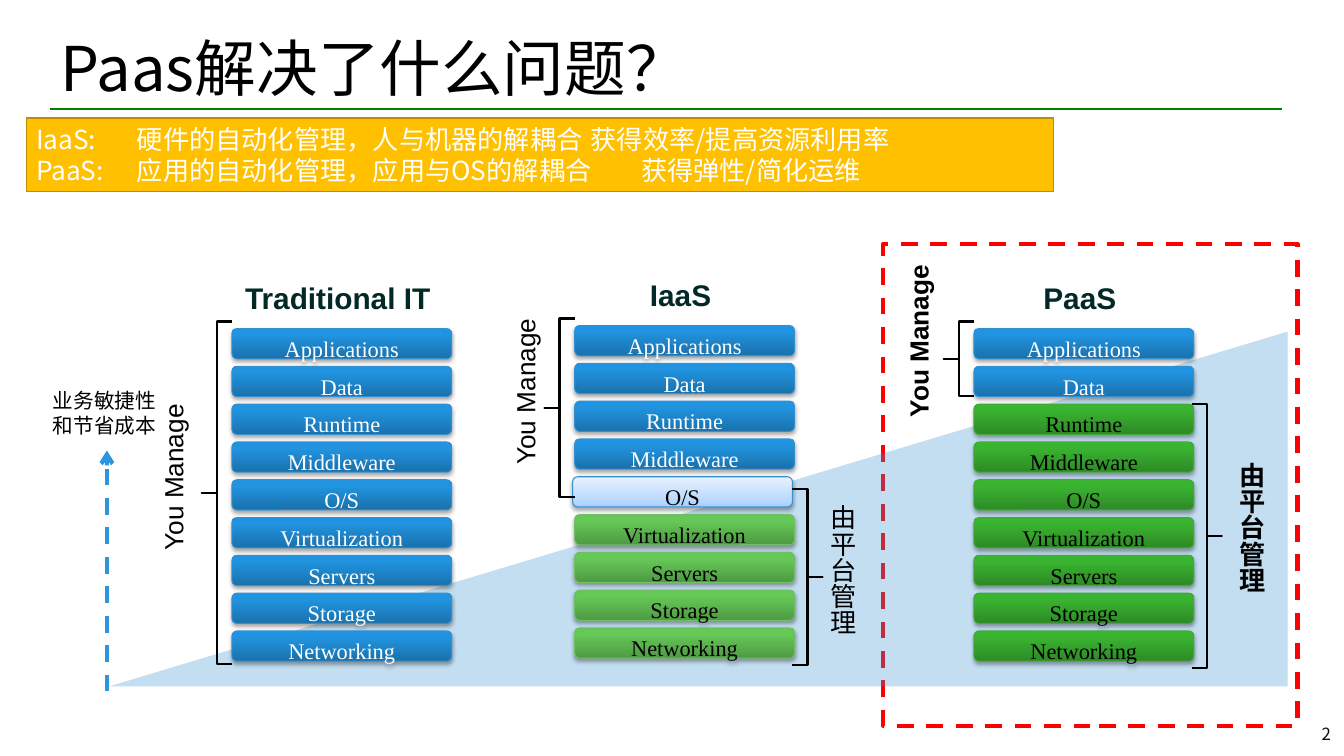
import pptx
import pptx.util
import pptx.dml.color
import pptx.enum.dml
import pptx.enum.shapes
import pptx.enum.text
import pptx.oxml
import pptx.oxml.ns
import lxml.etree

Inches, Pt = pptx.util.Inches, pptx.util.Pt
RGB = pptx.dml.color.RGBColor.from_string
qn = pptx.oxml.ns.qn
SHAPE = pptx.enum.shapes.MSO_SHAPE
ALIGN = pptx.enum.text.PP_ALIGN
ANCHOR = pptx.enum.text.MSO_ANCHOR
DASH = pptx.enum.dml.MSO_LINE.DASH
STRAIGHT = pptx.enum.shapes.MSO_CONNECTOR.STRAIGHT

COLORS = {"black": "000000", "white": "FFFFFF", "heading": "022828", "number": "0D0D0D",
          "rule": "008000", "frame": "FF0000", "wedge": "3993D0", "arrow": "2C95DD",
          "banner": "FFC000", "banner_edge": "BD8E00"}
CJK = "Noto Sans CJK SC"

# Layer styles: gradient stops from bottom to top, edge, text colour
STYLES = {
    "blue": ([(0, "1A71AC"), (80, "2193DF"), (100, "1E94E4")], "3490CF", "white"),
    "green": ([(0, "2D8A26"), (80, "3AB331"), (100, "38B62F")], "45A83E", "black"),
    "light green": ([(0, "4E9A43"), (80, "66C857"), (100, "65CB55")], "6FBF63", "black"),
    "pale": ([(0, "A9D0FF"), (35, "C2DDFF"), (100, "E8F2FF")], "3490CF", "black"),
}
LAYERS = ["Applications", "Data", "Runtime", "Middleware", "O/S",
          "Virtualization", "Servers", "Storage", "Networking"]
ROW_PITCH = 0.375

deck = pptx.Presentation()
deck.slide_width, deck.slide_height = Inches(13.33), Inches(7.5)
page = deck.slides.add_slide(deck.slide_layouts[5])


def write(para, text, size, font, color, bold=False):
    span = para.add_run()
    span.text = text
    span.font.size, span.font.name, span.font.bold = Pt(size), font, bold
    span.font.color.rgb = RGB(COLORS[color])
    east_asian = lxml.etree.SubElement(span.font._element, qn("a:ea"))
    east_asian.set("typeface", CJK)


def add_box(left, top, width, height, shape=None, fill=None, line=None, weight=1, wrap=True, vert=None):
    area = [Inches(value) for value in (left, top, width, height)]
    if shape is None:
        box = page.shapes.add_textbox(*area)
    else:
        box = page.shapes.add_shape(shape, *area)
        box.shadow.inherit = False
        if fill:
            box.fill.solid()
            box.fill.fore_color.rgb = RGB(fill)
        else:
            box.fill.background()
        if line:
            box.line.color.rgb = RGB(line)
            box.line.width = Pt(weight)
        else:
            box.line.fill.background()
    box.text_frame.word_wrap = wrap
    box.text_frame.vertical_anchor = ANCHOR.TOP
    if vert:
        box.text_frame._txBody.bodyPr.set("vert", vert)
    return box


# Title and the rule below it
title = page.shapes.title
title.left, title.top, title.width, title.height = [Inches(v) for v in (0.5, 0.25, 12.28, 0.92)]
title.text_frame.vertical_anchor = ANCHOR.MIDDLE
para = title.text_frame.paragraphs[0]
para.alignment, para.line_spacing = ALIGN.LEFT, 0.9
write(para, "Paas解决了什么问题？", 44, CJK, "black")

rule = page.shapes.add_connector(STRAIGHT, Inches(0.5), Inches(1.08), Inches(12.72), Inches(1.08))
rule.line.color.rgb, rule.line.width = RGB(COLORS["rule"]), Pt(1)

# Dashed frame around PaaS, with the rising wedge over it
frame = add_box(8.76, 2.42, 4.11, 4.78, SHAPE.RECTANGLE, COLORS["white"], COLORS["frame"], 3)
frame.line.dash_style = DASH
wedge = add_box(1.08, 3.29, 11.69, 3.52, SHAPE.RIGHT_TRIANGLE, COLORS["wedge"])
wedge._element.spPr.find(qn("a:xfrm")).set("flipH", "1")
tint = wedge._element.spPr.find(qn("a:solidFill"))[0]
lxml.etree.SubElement(tint, qn("a:alpha")).set("val", "30000")

# Three stacks: heading, left, top, style of each layer
stacks = [
    ("Traditional IT", 2.3, 3.26, ["blue"] * 9),
    ("IaaS", 5.7, 3.23, ["blue"] * 4 + ["pale"] + ["light green"] * 4),
    ("PaaS", 9.66, 3.26, ["blue"] * 2 + ["green"] * 7),
]
for heading, left, top, styles in stacks:
    box = add_box(left - 0.45, top - 0.53, 3, 0.45)
    para = box.text_frame.paragraphs[0]
    para.alignment = ALIGN.CENTER
    write(para, heading, 21.3, "Arial", "heading", True)
    for row, (layer, style) in enumerate(zip(LAYERS, styles)):
        stops, edge, text_color = STYLES[style]
        shift = -0.02 if style == "pale" else 0
        box = add_box(left + shift, top + row * ROW_PITCH, 2.18, 0.3,
                      SHAPE.ROUNDED_RECTANGLE, line=edge, weight=0.75)
        box.fill.gradient()
        box.fill.gradient_angle = 90
        stop_list = box._element.spPr.find(qn("a:gradFill")).find(qn("a:gsLst"))
        for stop in list(stop_list):
            stop_list.remove(stop)
        for position, color in stops:
            stop = lxml.etree.SubElement(stop_list, qn("a:gs"), pos=str(position * 1000))
            lxml.etree.SubElement(stop, qn("a:srgbClr"), val=color)
        effects = box._element.spPr.find(qn("a:effectLst"))
        shadow = lxml.etree.SubElement(effects, qn("a:outerShdw"), blurRad=str(Pt(3.1)),
                                       dist=str(Pt(1.8)), dir="5400000", rotWithShape="0")
        shade = lxml.etree.SubElement(shadow, qn("a:srgbClr"), val=COLORS["black"])
        lxml.etree.SubElement(shade, qn("a:alpha"), val="35000")
        para = box.text_frame.paragraphs[0]
        para.alignment = ALIGN.CENTER
        write(para, layer, 16, "Times New Roman", text_color)

# Brackets: left, top, height, opens to the left
for left, top, height, flipped in [(2, 3.19, 3.4, False), (5.4, 3.16, 1.77, False), (9.36, 3.19, 0.74, False),
                                   (7.86, 4.85, 1.75, True), (11.82, 4.01, 2.62, True)]:
    bracket = add_box(left, top, 0.3, height, SHAPE.LEFT_BRACE, line=COLORS["black"], weight=1.5)
    bracket.adjustments[0], bracket.adjustments[1] = 0, 0.5
    if flipped:
        bracket._element.spPr.find(qn("a:xfrm")).set("flipH", "1")

# Vertical labels beside the brackets
YOU, PLATFORM = ("You Manage", "Arial", "vert270"), ("由平台管理", "Times New Roman", "eaVert")
for (text, font, vert), left, top, height, bold in [
        (YOU, 1.51, 4, 1.56, False), (YOU, 5, 3.15, 1.56, False), (YOU, 8.9, 2.62, 1.62, True),
        (PLATFORM, 8.04, 4.91, 1.41, False), (PLATFORM, 12.1, 4.49, 1.41, True)]:
    label = add_box(left, top, 0.52, height, wrap=False, vert=vert)
    write(label.text_frame.paragraphs[0], text, 18.7, font, "black", bold)

# Agility arrow and its caption
arrow = page.shapes.add_connector(STRAIGHT, Inches(1.06), Inches(6.86), Inches(1.06), Inches(4.47))
arrow.line.color.rgb, arrow.line.width = RGB(COLORS["arrow"]), Pt(3)
arrow.line.dash_style = DASH
lxml.etree.SubElement(arrow.line._get_or_add_ln(), qn("a:tailEnd"), type="arrow")
for connector in (rule, arrow):
    lxml.etree.SubElement(connector._element.spPr, qn("a:effectLst"))

caption = add_box(0.38, 3.82, 1.31, 0.55)
frame_text = caption.text_frame
frame_text.margin_left = frame_text.margin_right = Inches(0.06)
frame_text.margin_top = frame_text.margin_bottom = Inches(0.03)
para = frame_text.paragraphs[0]
para.alignment = ALIGN.CENTER
write(para, "业务敏捷性和节省成本", 14.7, "Arial", "black")

# Slide number
number = add_box(12.74, 7.07, 0.56, 0.42)
number.text_frame.vertical_anchor = ANCHOR.MIDDLE
para = number.text_frame.paragraphs[0]
para.alignment = ALIGN.RIGHT
write(para, "2", 12, CJK, "number")

# Banner comparing IaaS and PaaS
banner = add_box(0.26, 1.17, 10.19, 0.73, SHAPE.RECTANGLE, COLORS["banner"], COLORS["banner_edge"])
lines = ["IaaS: \t硬件的自动化管理，人与机器的解耦合\t获得效率/提高资源利用率",
         "PaaS: \t应用的自动化管理，应用与OS的解耦合\t获得弹性/简化运维"]
for index, line in enumerate(lines):
    para = banner.text_frame.paragraphs[0] if index == 0 else banner.text_frame.add_paragraph()
    para.alignment = ALIGN.LEFT
    write(para, line, 18.7, CJK, "white")

deck.save("out.pptx")
